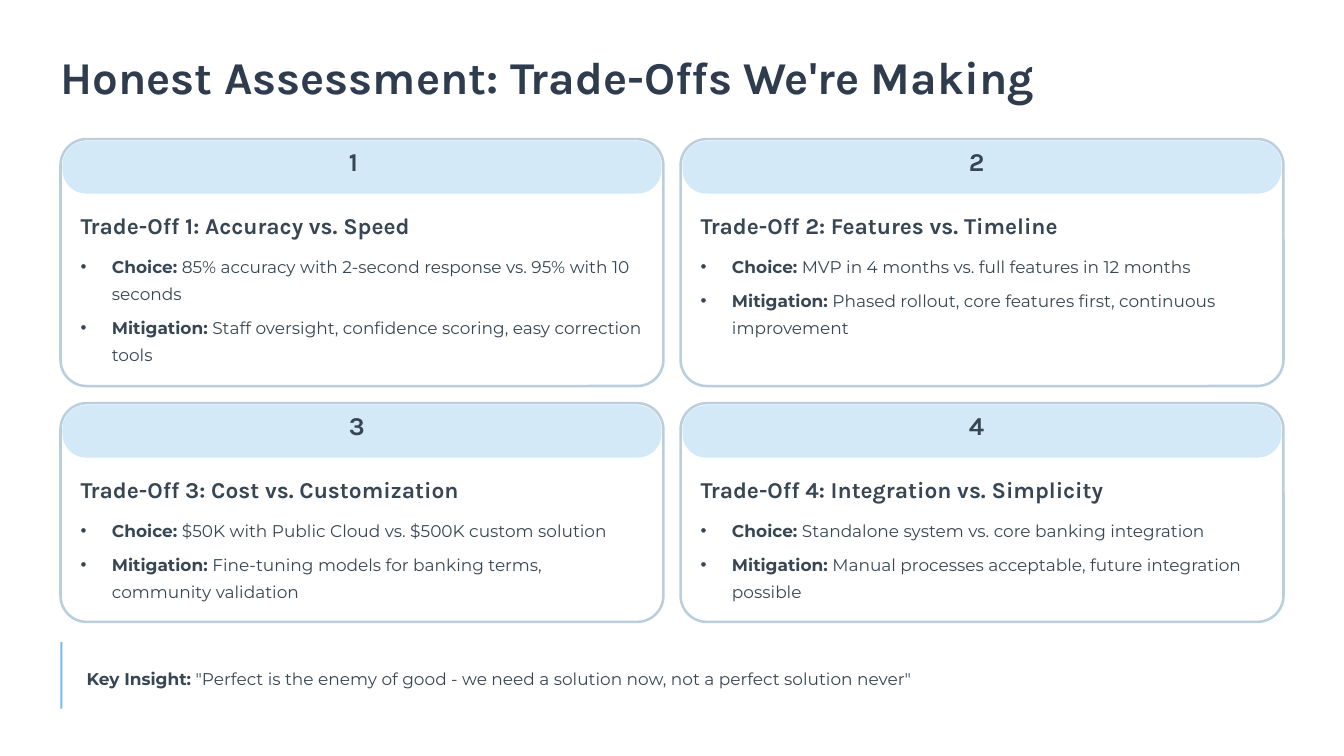
from dataclasses import dataclass

from lxml import etree
from pptx import Presentation
from pptx import util as u
from pptx.dml.color import RGBColor
from pptx.enum import shapes, text
from pptx.oxml.ns import qn
from pptx.shapes.autoshape import Shape
from pptx.slide import Slide
from pptx.text.text import TextFrame

WHITE = RGBColor(0xFF, 0xFF, 0xFF)
TITLE_INK = RGBColor(0x2E, 0x3C, 0x4E)
INK = RGBColor(0x38, 0x46, 0x53)
CARD_BORDER = RGBColor(0xBA, 0xCF, 0xDD)
BAND_BLUE = RGBColor(0xD4, 0xE9, 0xF7)
ACCENT_BLUE = RGBColor(0x75, 0xBA, 0xE6)

HEADING_FONT = "Karla"
BODY_FONT = "Montserrat"

COLUMN_LEFTS = (0.6, 6.75)
ROW_TOPS = (1.38, 4.0)
ROW_HEIGHTS = (2.45, 2.17)
CARD_WIDTH = 5.98
CORNER_RADIUS = 0.26
BAND_HEIGHT = 0.52
BORDER_INSET = 0.02
TEXT_INSET = 0.2
HANGING_INDENT = 0.31


@dataclass(frozen=True)
class TradeOff:
    heading: str
    heading_width: float
    choice: str
    mitigation: str


TRADE_OFFS = (
    TradeOff("Accuracy vs. Speed", 3.2,
             "85% accuracy with 2-second response vs. 95% with 10 seconds",
             "Staff oversight, confidence scoring, easy correction tools"),
    TradeOff("Features vs. Timeline", 3.4,
             "MVP in 4 months vs. full features in 12 months",
             "Phased rollout, core features first, continuous improvement"),
    TradeOff("Cost vs. Customization", 3.56,
             "$50K with Public Cloud vs. $500K custom solution",
             "Fine-tuning models for banking terms, community validation"),
    TradeOff("Integration vs. Simplicity", 3.78,
             "Standalone system vs. core banking integration",
             "Manual processes acceptable, future integration possible"),
)


def place(shape: Shape, left: float, top: float, width: float, height: float) -> None:
    shape.left, shape.top = u.Inches(left), u.Inches(top)
    shape.width, shape.height = u.Inches(width), u.Inches(height)


def prepare_frame(shape: Shape, wrap: bool = False) -> TextFrame:
    frame = shape.text_frame
    frame.margin_left = frame.margin_top = frame.margin_right = frame.margin_bottom = 0
    frame.auto_size = text.MSO_AUTO_SIZE.NONE
    frame.word_wrap = wrap
    frame.vertical_anchor = text.MSO_ANCHOR.TOP
    return frame


def write_paragraph(frame: TextFrame, content: str, *, lead: str = "",
                    size: float = 12.1, spacing: float = 19.6, font: str = BODY_FONT,
                    color: RGBColor = INK, bold: bool = False, bullet: bool = False) -> None:
    """Fill the empty first paragraph or add another, with an optional bold lead."""
    is_first = not frame.text
    paragraph = frame.paragraphs[0] if is_first else frame.add_paragraph()
    if bullet:
        properties = paragraph._p.get_or_add_pPr()
        properties.set("marL", str(u.Inches(HANGING_INDENT)))
        properties.set("indent", str(-u.Inches(HANGING_INDENT)))
        etree.SubElement(properties, qn("a:buChar")).set("char", "•")
    paragraph.alignment = text.PP_ALIGN.LEFT
    paragraph.line_spacing = u.Pt(spacing)
    paragraph.space_before = u.Pt(0 if is_first else 4.7)
    paragraph.space_after = u.Pt(0)
    pieces = [(lead, True), (" " + content, False)] if lead else [(content, bold)]
    for piece, is_bold in pieces:
        run = paragraph.add_run()
        run.text = piece
        run.font.name = font
        run.font.size = u.Pt(size)
        run.font.bold = is_bold
        run.font.color.rgb = color


def add_label(slide: Slide, left: float, top: float, width: float, height: float) -> TextFrame:
    box = slide.shapes.add_textbox(
        u.Inches(left), u.Inches(top), u.Inches(width), u.Inches(height))
    return prepare_frame(box)


def add_panel(slide: Slide, left: float, top: float, width: float, height: float,
              fill: RGBColor, *, border: RGBColor | None = None, radius: float = 0) -> None:
    kind = shapes.MSO_SHAPE.ROUNDED_RECTANGLE if radius else shapes.MSO_SHAPE.RECTANGLE
    panel = slide.shapes.add_shape(
        kind, u.Inches(left), u.Inches(top), u.Inches(width), u.Inches(height))
    panel.shadow.inherit = False
    panel.fill.solid()
    panel.fill.fore_color.rgb = fill
    if radius:
        panel.adjustments[0] = radius / height
    if border is None:
        panel.line.fill.background()
    else:
        panel.line.color.rgb = border
        panel.line.width = u.Pt(1.8)


def add_card(slide: Slide, index: int, trade_off: TradeOff, body: Shape) -> None:
    row, column = divmod(index, len(COLUMN_LEFTS))
    left, top, height = COLUMN_LEFTS[column], ROW_TOPS[row], ROW_HEIGHTS[row]
    number = index + 1

    add_panel(slide, left, top, CARD_WIDTH, height, WHITE,
              border=CARD_BORDER, radius=CORNER_RADIUS)
    add_panel(slide, left + BORDER_INSET, top + BORDER_INSET,
              CARD_WIDTH - 2 * BORDER_INSET, BAND_HEIGHT, BAND_BLUE,
              radius=BAND_HEIGHT * 0.452)
    write_paragraph(add_label(slide, left + 2.86, top + 0.12, 0.26, 0.32), str(number),
                    size=18.3, spacing=18.3, font=HEADING_FONT, bold=True)
    write_paragraph(add_label(slide, left + TEXT_INSET, top + 0.71,
                              trade_off.heading_width, 0.28),
                    f"Trade-Off {number}: {trade_off.heading}",
                    size=16.2, spacing=20, font=HEADING_FONT, bold=True)

    place(body, left + TEXT_INSET, top + 1.09, 5.59, height - 1.29)
    body.element.getparent().append(body.element)  # bring the list in front of its card
    frame = prepare_frame(body, wrap=True)
    write_paragraph(frame, trade_off.choice, lead="Choice:", bullet=True)
    write_paragraph(frame, trade_off.mitigation, lead="Mitigation:", bullet=True)


def main() -> None:
    presentation = Presentation()
    presentation.slide_width = u.Inches(13.33)
    presentation.slide_height = u.Inches(7.5)
    # The Comparison layout offers a title and four body placeholders
    slide = presentation.slides.add_slide(presentation.slide_layouts.get_by_name("Comparison"))
    title, *bodies = list(slide.placeholders)

    # LibreOffice wraps titles at the box edge, so the box is wider than the line
    place(title, 0.6, 0.47, 10.2, 0.57)
    write_paragraph(prepare_frame(title), "Honest Assessment: Trade-Offs We're Making",
                    size=32.5, spacing=40.4, font=HEADING_FONT, color=TITLE_INK, bold=True)

    for index, (trade_off, body) in enumerate(zip(TRADE_OFFS, bodies)):
        add_card(slide, index, trade_off, body)

    write_paragraph(
        add_label(slide, 0.86, 6.56, 11.87, 0.27),
        '"Perfect is the enemy of good - we need a solution now, not a perfect solution never"',
        lead="Key Insight:")
    add_panel(slide, 0.6, 6.37, 0.02, 0.66, ACCENT_BLUE)

    presentation.save("out.pptx")


if __name__ == "__main__":
    main()
